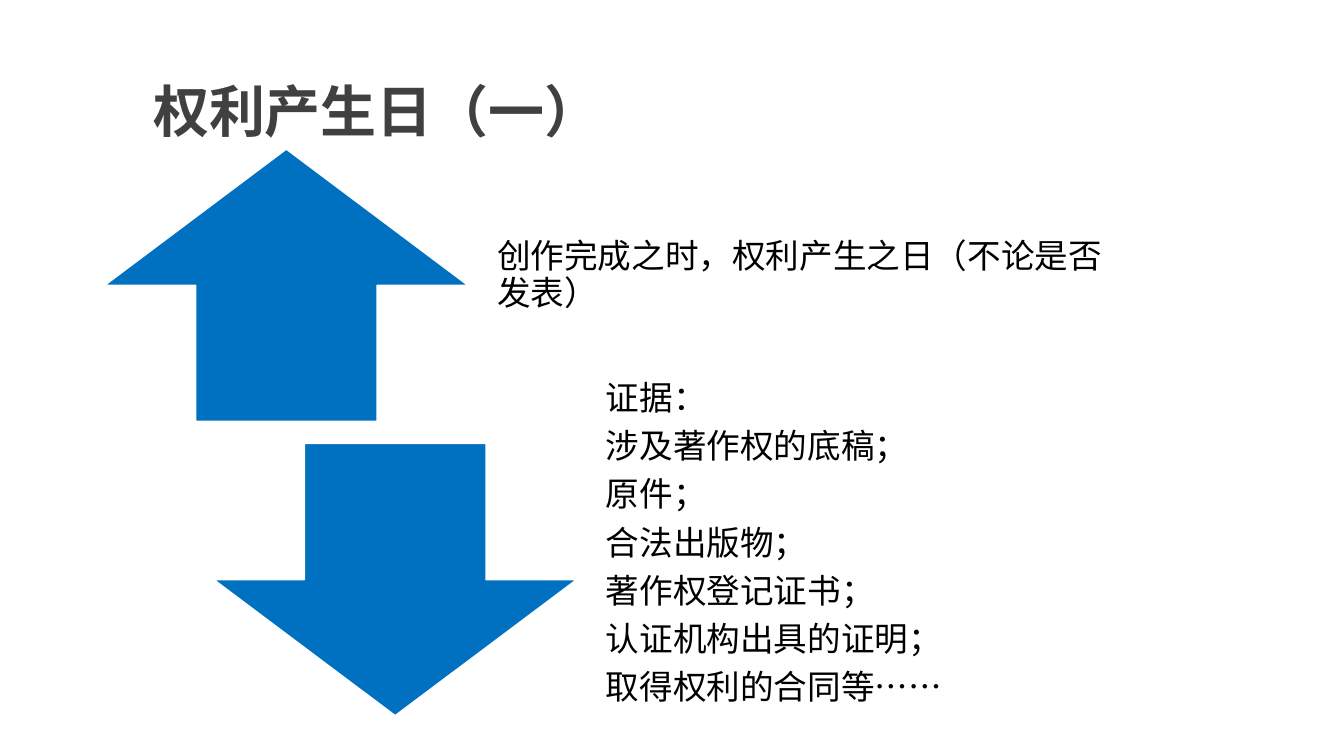
from pptx import Presentation
from pptx.dml.color import RGBColor
from pptx.enum.shapes import MSO_SHAPE as Shape
from pptx.enum.text import MSO_ANCHOR as Anchor
from pptx.util import Inches, Pt


def color(value):
    return RGBColor.from_string(value)


class RightsSlide:
    title_font = "Noto Sans CJK SC"
    body_font = "Arial"
    title_color = "404040"
    body_color = "000000"
    arrow_color = "0070C0"
    outline_color = "FFFFFF"

    def __init__(self, deck):
        self.page = deck.slides.add_slide(deck.slide_layouts[6])

    def text_box(self, left, top, width, height):
        box = self.page.shapes.add_textbox(
            Inches(left), Inches(top), Inches(width), Inches(height))
        box.text_frame.word_wrap = True
        return box.text_frame

    def title(self, text, left, top, width, height):
        para = self.text_box(left, top, width, height).paragraphs[0]
        para.text = text
        para.line_spacing = Pt(52)
        para.font.name = self.title_font
        para.font.size = Pt(40)
        para.font.bold = True
        para.font.color.rgb = color(self.title_color)

    def arrow(self, kind, left, top):
        arrow = self.page.shapes.add_shape(
            kind, Inches(left), Inches(top), Inches(3.6), Inches(2.7))
        arrow.shadow.inherit = False
        arrow.fill.solid()
        arrow.fill.fore_color.rgb = color(self.arrow_color)
        arrow.line.color.rgb = color(self.outline_color)
        arrow.line.width = Pt(1)

    def body(self, lines, left, top, height, bottom_inset=0.19):
        frame = self.text_box(left, top, 6.57, height)
        frame.vertical_anchor = Anchor.MIDDLE
        frame.margin_left = frame.margin_right = Inches(0.19)
        frame.margin_top = 0
        frame.margin_bottom = Inches(bottom_inset)
        frame.text = "\n".join(lines)
        for para in frame.paragraphs:
            para.line_spacing = Pt(26.4)
            para.space_after = Pt(8)
            para.font.name = self.body_font
            para.font.size = Pt(24)
            para.font.color.rgb = color(self.body_color)


def main():
    deck = Presentation()
    deck.slide_width = Inches(13.33)
    deck.slide_height = Inches(7.5)
    slide = RightsSlide(deck)

    slide.title("权利产生日（一）", 1.42, 0.65, 11.54, 0.84)
    slide.arrow(Shape.UP_ARROW, 1.04, 1.48)
    slide.body(["创作完成之时，权利产生之日（不论是否发表）"], 4.74, 1.48, 2.7)
    slide.arrow(Shape.DOWN_ARROW, 2.12, 4.4)
    evidence = [
        "证据：",
        "涉及著作权的底稿；",
        "原件；",
        "合法出版物；",
        "著作权登记证书；",
        "认证机构出具的证明；",
        "取得权利的合同等……",
    ]
    slide.body(evidence, 5.82, 4.2, 3.09, bottom_inset=0.71)

    deck.save("out.pptx")


if __name__ == "__main__":
    main()
